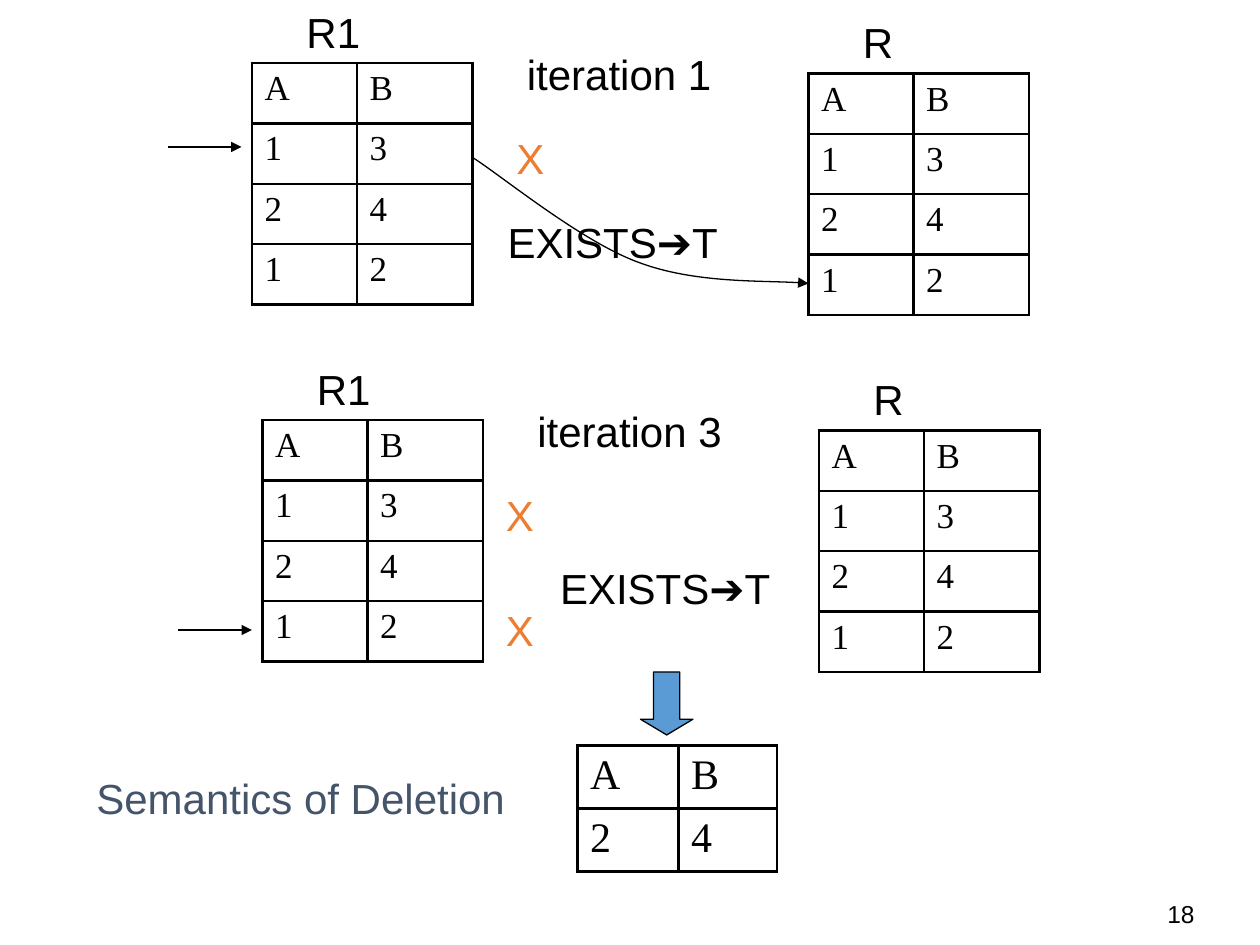
from lxml import etree
from pptx import Presentation
from pptx.dml.color import RGBColor
from pptx.enum.shapes import MSO_CONNECTOR, MSO_SHAPE
from pptx.oxml import parse_xml
from pptx.oxml.ns import nsdecls, qn
from pptx.util import Pt

STRAIGHT = MSO_CONNECTOR.STRAIGHT
DOWN_ARROW = MSO_SHAPE.DOWN_ARROW
BLACK, ORANGE, BLUE, SLATE = "000000", "ED7D31", "5B9BD5", "44546A"
color = RGBColor.from_string

deck = Presentation()
deck.slide_width, deck.slide_height = Pt(720), Pt(540)
page = deck.slides.add_slide(deck.slide_layouts[6])
shapes = page.shapes


def add_label(text, left, top, width, height=36, size=24, ink=BLACK, wrap=True):
    box = shapes.add_textbox(Pt(left), Pt(top), Pt(width), Pt(height))
    box.text_frame.word_wrap = wrap
    para = box.text_frame.paragraphs[0]
    para.text = text
    para.font.name, para.font.size = "Arial", Pt(size)
    para.font.color.rgb = color(ink)


def add_relation(rows, left, top, widths, row_height, size):
    frame = shapes.add_table(len(rows), len(widths), Pt(left), Pt(top),
                             Pt(sum(widths)), Pt(row_height * len(rows)))
    table = frame.table
    table.first_row = table.horz_banding = False
    for column, width in zip(table.columns, widths):
        column.width = Pt(width)
    for r, values in enumerate(rows):
        for c, value in enumerate(values):
            cell = table.cell(r, c)
            para = cell.text_frame.paragraphs[0]
            para.text = value
            para.font.name, para.font.size = "Times New Roman", Pt(size)
            para.font.color.rgb = color(BLACK)
            properties = cell._tc.get_or_add_tcPr()
            for side in ("lnL", "lnR", "lnT", "lnB"):
                properties.append(parse_xml(
                    f'<a:{side} {nsdecls("a")} w="{Pt(1.47)}"><a:solidFill>'
                    f'<a:srgbClr val="{BLACK}"/></a:solidFill></a:{side}>'))
            cell.fill.background()


# Two iterations: same layout, the second one shifted
relation = ["AB", "13", "24", "12"]
pointers = []
for number, x, y, row in ((1, 0, 0, 0), (3, 6, 204, 2)):
    for name, left, top in (("R1", 144, 36), ("R", 462, 42)):
        add_relation(relation, x + left, y + top, (60, 66), 34.5, 20)
        add_label(name, x + left + 24, y + top - 36, 60)
    add_label(f"iteration {number}", x + 294, y + 24, 144)
    # Pointer to the current row
    height = y + 84 + 36 * row
    pointers.append(shapes.add_connector(
        STRAIGHT, Pt(x + 96), Pt(height), Pt(x + 138), Pt(height)))

# Curve from the current row to its match in R
curve_points = [(286, 100), (332, 138), (365, 150), (397, 162), (442, 160), (462, 162)]
builder = shapes.build_freeform(Pt(270), Pt(90))
builder.add_line_segments([(Pt(x), Pt(y)) for x, y in curve_points], close=False)
curve = builder.convert_to_shape()
curve.shadow.inherit = False
curve.fill.background()
# Each run of three points becomes one Bezier segment
steps = list(curve._element.iter(qn("a:lnTo")))
for start in range(0, len(steps), 3):
    bezier = etree.Element(qn("a:cubicBezTo"))
    steps[start].addprevious(bezier)
    for step in steps[start:start + 3]:
        bezier.append(step[0])
        step.getparent().remove(step)

# Lines with arrowheads
for pointer in pointers:
    etree.SubElement(pointer._element.spPr, qn("a:effectLst"))
for arrow in (*pointers, curve):
    arrow.line.color.rgb = color(BLACK)
    arrow.line.width = Pt(0.75)
    etree.SubElement(arrow.line._get_or_add_ln(), qn("a:tailEnd"), type="triangle")

# Test results and deleted rows
for left, top in ((283, 120), (313, 318)):
    add_label("EXISTS➔T", left, top, 138, wrap=False)
for left, top in ((288, 72), (282, 276), (282, 342)):
    add_label("X", left, top, 30, ink=ORANGE, wrap=False)

# Result of the deletion
down = shapes.add_shape(DOWN_ARROW, Pt(366), Pt(384), Pt(30), Pt(36))
down.shadow.inherit = False
down.adjustments[0], down.adjustments[1] = 0.5, 0.3
down.fill.solid()
down.fill.fore_color.rgb = color(BLUE)
down.line.color.rgb = color(BLACK)
down.line.width = Pt(0.75)
add_relation(["AB", "24"], 330, 426, (57.75, 56.25), 36, 24)

# Title and page number
add_label("Semantics of Deletion", 48, 438, 248, ink=SLATE, wrap=False)
add_label("18", 660, 510, 42, 24, size=14)

deck.save("out.pptx")
